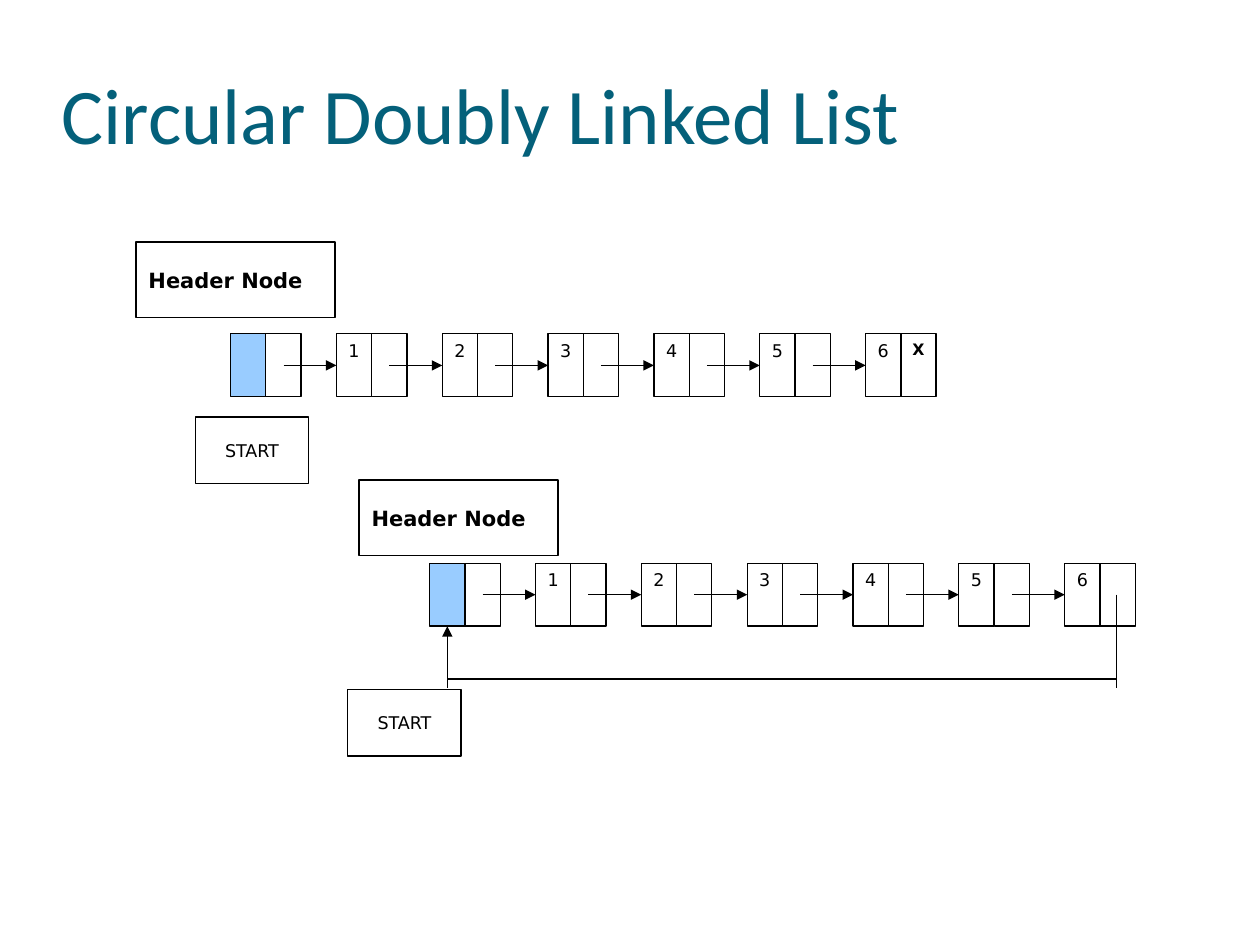
import pptx
import pptx.util
import pptx.dml.color
import pptx.enum.shapes
import pptx.enum.text
import pptx.oxml.ns
import pptx.oxml.xmlchemy
from pptx.util import Inches

HUES = {"title": "04607A", "ink": "000000", "head": "99CCFF", "cell": "FFFFFF"}
ALIGN = pptx.enum.text.PP_ALIGN
ANCHOR = pptx.enum.text.MSO_ANCHOR


class Board:
    """Holds the style and the current slide."""
    font = "DejaVu Sans"
    wide, high = 0.28, 0.5      # one cell of a node
    step = 3 * wide             # two cells and a gap

    def __init__(self, slide):
        self.slide = slide

    def hue(self, name):
        return pptx.dml.color.RGBColor.from_string(HUES[name])

    def words(self, shape, text, size, hue="ink", font=font, bold=False,
              align=ALIGN.CENTER):
        shape.text_frame.text = text
        para = shape.text_frame.paragraphs[0]
        para.alignment = align
        face = para.runs[0].font
        face.size, face.name, face.bold = pptx.util.Pt(size), font, bold
        face.color.rgb = self.hue(hue)

    def title(self, text):
        box = self.slide.shapes.add_textbox(
            Inches(0.49), Inches(0.51), Inches(8.33), Inches(0.77))
        frame = box.text_frame
        frame.word_wrap = True
        frame.margin_left = frame.margin_right = frame.margin_bottom = 0
        frame.margin_top = Inches(0.01)
        self.words(box, text, 45, "title", "Calibri", align=ALIGN.LEFT)
        frame.paragraphs[0].space_before = pptx.util.Pt(1)

    def rect(self, left, top, width, height, fill=None):
        box = self.slide.shapes.add_shape(
            pptx.enum.shapes.MSO_SHAPE.RECTANGLE,
            Inches(left), Inches(top), Inches(width), Inches(height))
        box.shadow.inherit = False
        if fill:
            box.fill.solid()
            box.fill.fore_color.rgb = self.hue(fill)
        else:
            box.fill.background()
        box.line.color.rgb = self.hue("ink")
        box.line.width = pptx.util.Pt(0.75)
        return box

    def cell(self, left, top, text="", fill="cell", size=10, bold=False):
        box = self.rect(left, top, self.wide, self.high, fill)
        if text:
            box.text_frame.word_wrap = False
            box.text_frame.vertical_anchor = ANCHOR.TOP
            self.words(box, text, size, bold=bold)

    def label(self, left, top, width, height, text, size, bold, align):
        box = self.rect(left, top, width, height)
        box.text_frame.word_wrap = True
        box.text_frame.vertical_anchor = ANCHOR.MIDDLE
        self.words(box, text, size, bold=bold, align=align)

    def header(self, left, top):
        self.label(left, top, 1.58, 0.6, "Header Node", 12, True, ALIGN.LEFT)

    def start(self, left, top):
        self.label(left, top, 0.9, 0.53, "START", 10, False, ALIGN.CENTER)

    def line(self, x1, y1, x2, y2, arrow=False):
        link = self.slide.shapes.add_connector(
            pptx.enum.shapes.MSO_CONNECTOR.STRAIGHT,
            Inches(x1), Inches(y1), Inches(x2), Inches(y2))
        link.line.color.rgb = self.hue("ink")
        link.line.width = pptx.util.Pt(0.75)
        make, name = pptx.oxml.xmlchemy.OxmlElement, pptx.oxml.ns.qn
        props = link._element.find(name("p:spPr"))
        if arrow:
            tip = make("a:tailEnd")
            tip.set("type", "triangle")
            props.find(name("a:ln")).append(tip)
        props.append(make("a:effectLst"))

    def chain(self, left, top, last=""):
        """A header node and six numbered nodes, each linked to the next."""
        mid = top + self.high / 2
        for num in range(7):
            x = left + num * self.step
            end = num == 6
            self.cell(x, top, str(num or ""), "cell" if num else "head")
            self.cell(x + self.wide, top, last if end else "", size=9, bold=True)
            if not end:
                self.line(x + 1.5 * self.wide, mid, x + self.step, mid, True)


def main():
    deck = pptx.Presentation()
    deck.slide_width, deck.slide_height = Inches(10), Inches(7.5)
    board = Board(deck.slides.add_slide(deck.slide_layouts[6]))
    board.title("Circular Doubly Linked List")

    # Upper list, ending in a null link
    board.chain(1.83, 2.65, "X")
    board.header(1.08, 1.92)
    board.start(1.55, 3.31)

    # Lower list, looping back to its header node
    board.chain(3.41, 4.47)
    board.line(8.86, 4.72, 8.86, 5.46)
    board.line(8.86, 5.39, 3.55, 5.39)
    board.line(3.55, 5.46, 3.55, 4.97, True)
    board.header(2.85, 3.81)
    board.start(2.76, 5.47)

    deck.save("out.pptx")


if __name__ == "__main__":
    main()
